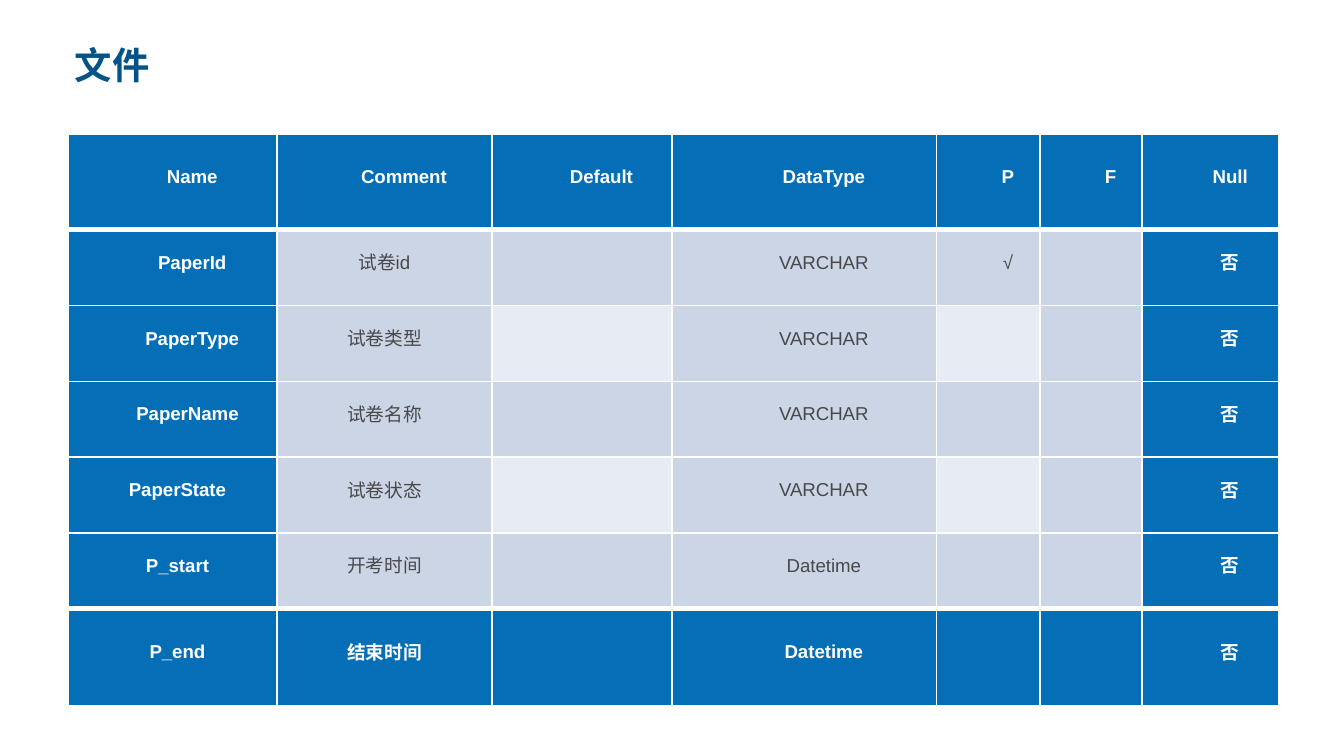
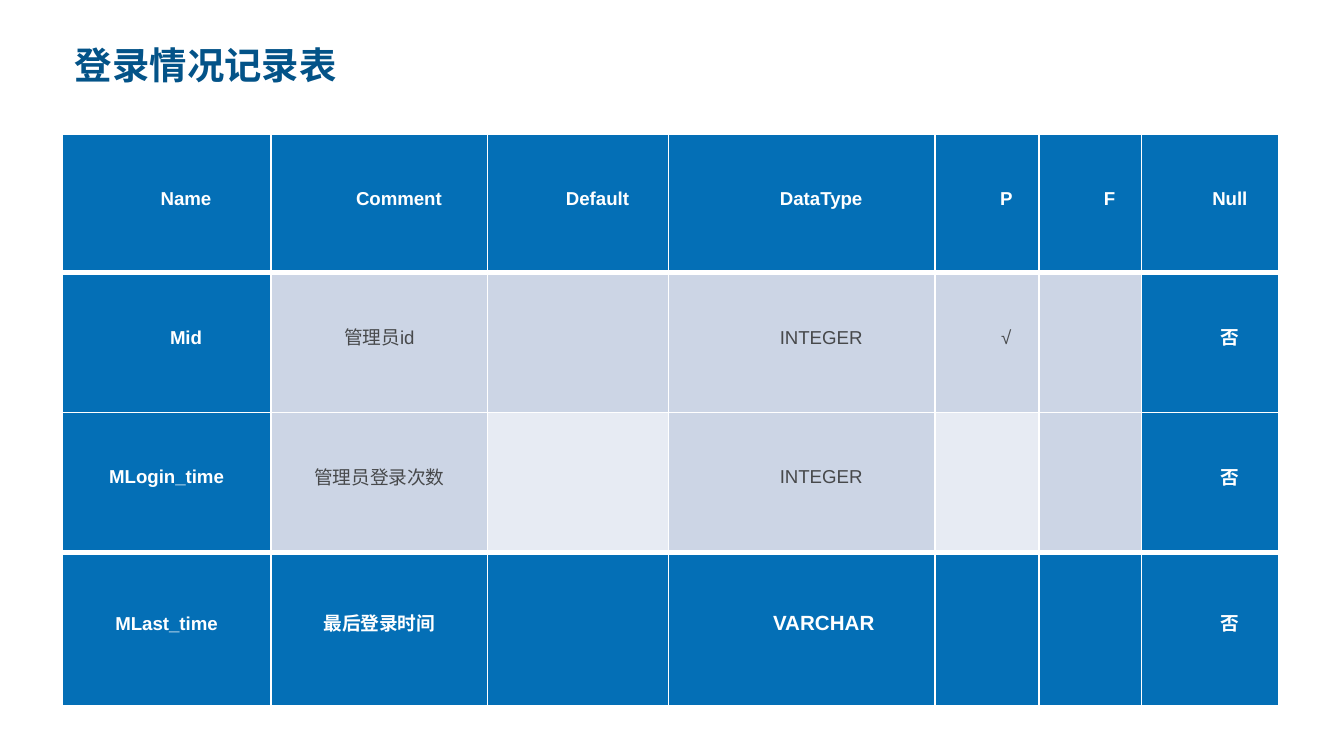
import pptx
import pptx.dml.color
import pptx.enum.text
import pptx.oxml
import pptx.oxml.ns
import pptx.util
from dataclasses import dataclass

# Content: each field is (name, name indent, comment, data type, primary key)
HEADINGS = ("Name", "Comment", "Default", "DataType", "P", "F", "Null")
NOT_NULL = "否"
TABLES = [
    dict(title="文件", left=0.51, header=0.71, footer=0.72, fields=[
        ("PaperId", 0.29, "试卷id", "VARCHAR", "√"),
        ("PaperType", 0.29, "试卷类型", "VARCHAR", ""),
        ("PaperName", 0.22, "试卷名称", "VARCHAR", ""),
        ("PaperState", 0.07, "试卷状态", "VARCHAR", ""),
        ("P_start", 0.07, "开考时间", "Datetime", ""),
        ("P_end", 0.07, "结束时间", "Datetime", ""),
    ]),
    dict(title="登录情况记录表", left=0.46, header=1.03, footer=1.14, fields=[
        ("Mid", 0.29, "管理员id", "INTEGER", "√"),
        ("MLogin_time", 0, "管理员登录次数", "INTEGER", ""),
        ("MLast_time", 0, "最后登录时间", "VARCHAR", ""),
    ], large_type="VARCHAR"),
]


@dataclass(frozen=True)
class Theme:
    title: str = "035388"
    strong: str = "046FB6"
    band: str = "CCD5E5"
    pale: str = "E7EBF3"
    text: str = "47494B"
    white: str = "FFFFFF"
    title_font: str = "Montserrat"
    table_font: str = "Arial"
    title_size: int = 20
    table_size: int = 10
    large_size: int = 11


THEME = Theme()
PAGE_WIDTH = 10
PAGE_HEIGHT = PAGE_WIDTH * 9 / 16
LEFT, RIGHT = 0.46, 9.52
TABLE_TOP, TABLE_HEIGHT = 1, 4.25
COLUMN_SHARES = (1.55, 1.6, 1.34, 1.97, 0.77, 0.76, 1.02)
INDENT, LARGE_INDENT = 0.29, 0.33
NAME, COMMENT, DEFAULT, TYPE, KEY, FOREIGN, NULL = range(len(HEADINGS))
inches = pptx.util.Inches
color = pptx.dml.color.RGBColor.from_string


def style(para, font, size, ink, bold):
    para.font.name = font
    para.font.size = pptx.util.Pt(size)
    para.font.color.rgb = color(ink)
    para.font.bold = bold


def add_title(page, text):
    box = page.shapes.add_textbox(inches(LEFT), inches(0.13),
                                  inches(RIGHT - LEFT), inches(0.57))
    frame = box.text_frame
    frame.word_wrap = True
    frame.vertical_anchor = pptx.enum.text.MSO_ANCHOR.BOTTOM
    para = frame.paragraphs[0]
    para.text = text
    para.line_spacing = 0.9
    style(para, THEME.title_font, THEME.title_size, THEME.title, True)


def set_borders(cell, top, bottom):
    properties = cell._tc.get_or_add_tcPr()
    for place, (side, width) in enumerate(
            (("L", 1), ("R", 1), ("T", top), ("B", bottom))):
        properties.insert(place, pptx.oxml.parse_xml(
            f'<a:ln{side} {pptx.oxml.ns.nsdecls("a")} w="{pptx.util.Pt(width)}">'
            f'<a:solidFill><a:srgbClr val="{THEME.white}"/></a:solidFill></a:ln{side}>'))


def write_cell(cell, text, indent, size, ink, bold):
    cell.vertical_anchor = pptx.enum.text.MSO_ANCHOR.MIDDLE
    cell.margin_left = cell.margin_right = inches(0.07)
    cell.margin_top = cell.margin_bottom = 0
    para = cell.text_frame.paragraphs[0]
    para.text = text
    para.alignment = pptx.enum.text.PP_ALIGN.CENTER
    para.line_spacing = 0.25
    para._p.get_or_add_pPr().set("marL", "0")
    para._p.get_or_add_pPr().set("indent", str(inches(indent)))
    style(para, THEME.table_font, size, ink, bold)


def add_field_table(page, left, header, footer, fields, large_type=None):
    rows = [HEADINGS] + [(name, comment, "", kind, key, "", NOT_NULL)
                         for name, _, comment, kind, key in fields]
    last = len(rows) - 1
    width = RIGHT - left
    table = page.shapes.add_table(len(rows), len(HEADINGS), inches(left), inches(TABLE_TOP),
                                  inches(width), inches(TABLE_HEIGHT)).table
    table.first_row = table.horz_banding = False

    # Columns share the width; body rows share what header and footer leave
    for column, share in zip(table.columns, COLUMN_SHARES):
        column.width = inches(width * share / sum(COLUMN_SHARES))
    body = (TABLE_HEIGHT - header - footer) / (last - 1)
    for row, height in zip(table.rows, [header] + [body] * (last - 1) + [footer]):
        row.height = inches(height)

    for r, values in enumerate(rows):
        for c, text in enumerate(values):
            cell = table.cell(r, c)
            strong = r in (0, last) or c in (NAME, NULL)
            pale = r % 2 == 0 and c in (DEFAULT, KEY)
            cell.fill.solid()
            cell.fill.fore_color.rgb = color(
                THEME.strong if strong else THEME.pale if pale else THEME.band)
            set_borders(cell, 3 if r in (1, last) else 1, 3 if r in (0, last - 1) else 1)
            if not text:
                continue
            indent, size = INDENT, THEME.table_size
            if r and c == NAME:
                indent = fields[r - 1][1]
            elif r and c == COMMENT:
                indent = 0
            elif r == last and c == TYPE and text == large_type:
                indent, size = LARGE_INDENT, THEME.large_size
            write_cell(cell, text, indent, size,
                       THEME.white if strong else THEME.text, strong)


def main():
    deck = pptx.Presentation()
    deck.slide_width, deck.slide_height = inches(PAGE_WIDTH), inches(PAGE_HEIGHT)
    for content in TABLES:
        page = deck.slides.add_slide(deck.slide_layouts[6])
        add_title(page, content["title"])
        add_field_table(page, **{k: v for k, v in content.items() if k != "title"})
    deck.save("out.pptx")


if __name__ == "__main__":
    main()
